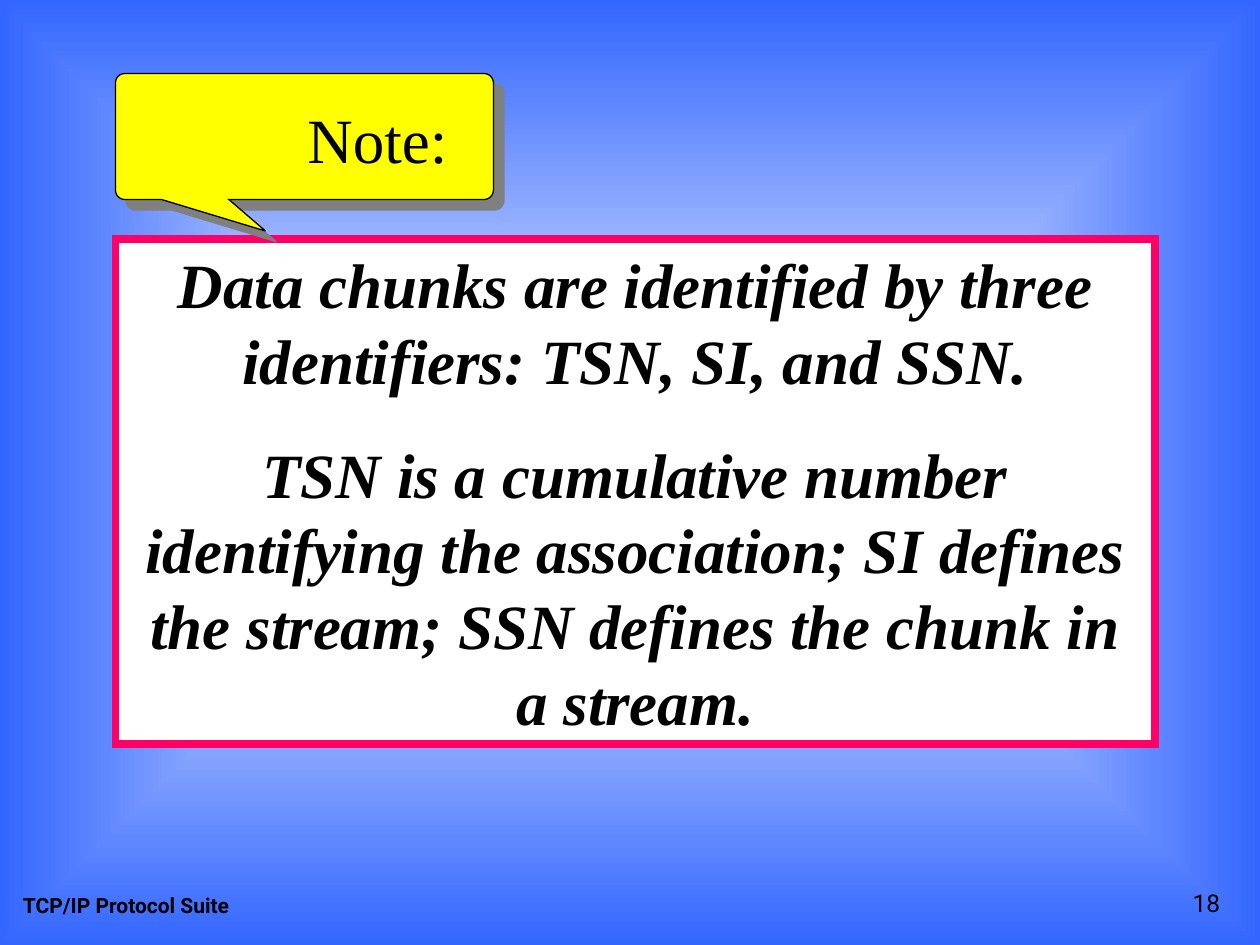
import math
from dataclasses import dataclass

from lxml import etree
from pptx import Presentation
from pptx.dml.color import RGBColor
from pptx.enum.shapes import MSO_SHAPE
from pptx.enum.text import MSO_ANCHOR, MSO_AUTO_SIZE, PP_ALIGN
from pptx.oxml.ns import qn
from pptx.util import Inches, Pt

RECT = MSO_SHAPE.RECTANGLE
TOP, BOTTOM = MSO_ANCHOR.TOP, MSO_ANCHOR.BOTTOM
LEFT, CENTER, RIGHT = PP_ALIGN.LEFT, PP_ALIGN.CENTER, PP_ALIGN.RIGHT
GROW, FIXED = MSO_AUTO_SIZE.SHAPE_TO_FIT_TEXT, MSO_AUTO_SIZE.NONE


@dataclass(frozen=True)
class Theme:
    serif: str = "Times New Roman"
    sans: str = "Roboto"
    ink: str = "000000"
    paper: str = "FFFFFF"
    blue: str = "3366FF"
    pink: str = "FF0066"
    yellow: str = "FFFF00"
    shade: str = "808080"
    body: int = 36
    footer: int = 12
    number: int = 14


def rgb(value):
    return RGBColor.from_string(value)


def write(shape, paragraphs, font, size, color, align=LEFT, anchor=TOP,
          bold=False, italic=False, wrap=True, fit=FIXED, gap=0, after=0):
    tf = shape.text_frame
    tf.word_wrap, tf.auto_size, tf.vertical_anchor = wrap, fit, anchor
    for i, text in enumerate(paragraphs):
        p = tf.add_paragraph() if i else tf.paragraphs[0]
        p.alignment = align
        p.space_before, p.space_after = Pt(gap if i else 0), Pt(after)
        r = p.add_run()
        r.text = text
        r.font.name, r.font.size = font, Pt(size)
        r.font.bold, r.font.italic = bold, italic
        r.font.color.rgb = rgb(color)


class Deck:
    COLS, ROWS = 120, 90

    def __init__(self, theme):
        self.theme = theme
        self.prs = Presentation()
        self.prs.slide_width, self.prs.slide_height = Inches(10), Inches(7.5)
        self.s = self.prs.slides.add_slide(self.prs.slide_layouts[6])

    def at(self, col, row):
        return (round(col * self.prs.slide_width / self.COLS),
                round(row * self.prs.slide_height / self.ROWS))

    def background(self, center, edge):
        fill = self.s.background.fill
        fill.gradient()
        for stop, color in zip(fill.gradient_stops, (center, edge)):
            stop.color.rgb = rgb(color)
        grad = self.s.element.find(".//" + qn("a:gradFill"))
        grad.remove(grad.find(qn("a:lin")))
        focus = etree.SubElement(grad, qn("a:path"), path="rect")
        etree.SubElement(focus, qn("a:fillToRect"),
                         dict.fromkeys("ltrb", "50000"))

    def paint(self, shape, fill, line, width):
        shape.shadow.inherit = False
        shape.fill.solid()
        shape.fill.fore_color.rgb = rgb(fill)
        shape.line.color.rgb = rgb(line)
        shape.line.width = Pt(width)
        ln = shape.element.spPr.find(qn("a:ln"))
        etree.SubElement(ln, qn("a:miter"), lim="800000")
        return shape

    def panel(self, col, row, cols, rows, paragraphs, fill, line, width, **fmt):
        sp = self.s.shapes.add_shape(RECT, *self.at(col, row), *self.at(cols, rows))
        write(self.paint(sp, fill, line, width), paragraphs, **fmt)

    def callout(self, col, row, cols, rows, tail, fill, line, width, radius=0.9):
        right, bottom = col + cols, row + rows
        corners = [(col + radius, row + radius, 180),
                   (right - radius, row + radius, 270),
                   (right - radius, bottom - radius, 0),
                   (col + radius, bottom - radius, 90)]
        arcs = [[(x + radius * math.cos(math.radians(start + turn)),
                  y + radius * math.sin(math.radians(start + turn)))
                 for turn in range(0, 91, 15)] for x, y, start in corners]
        outline = [self.at(*pt) for pt in arcs[0] + arcs[1] + arcs[2] + tail + arcs[3]]
        builder = self.s.shapes.build_freeform(*outline[0], scale=1.0)
        builder.add_line_segments(outline[1:], close=True)
        sp = self.paint(builder.convert_to_shape(), fill, line, width)
        effects = sp.element.spPr.find(qn("a:effectLst"))
        shadow = etree.SubElement(effects, qn("a:outerShdw"), blurRad="0",
                                  dist=str(Pt(8.5)), dir="2700000",
                                  algn="ctr", rotWithShape="0")
        etree.SubElement(shadow, qn("a:srgbClr"), val=self.theme.shade)

    def text(self, col, row, cols, rows, text, **fmt):
        tb = self.s.shapes.add_textbox(*self.at(col, row), *self.at(cols, rows))
        write(tb, [text], color=self.theme.ink, **fmt)


def main():
    t = Theme()
    deck = Deck(t)
    deck.background(t.paper, t.blue)
    deck.panel(11, 22.8, 99, 48.1, [
        "Data chunks are identified by three identifiers: TSN, SI, and SSN.",
        "TSN is a cumulative number identifying the association; SI defines "
        "the stream; SSN defines the chunk in a stream.",
    ], t.paper, t.pink, 4.5, font=t.serif, size=t.body, color=t.ink,
        align=CENTER, bold=True, italic=True, fit=GROW, gap=12, after=10)
    deck.callout(11, 7, 36, 12, [(21.8, 19), (25.3, 22), (15.4, 19)],
                 t.yellow, t.ink, 0.75)
    deck.text(28.1, 9, 15.7, 8.4, "Note:", font=t.serif, size=t.body,
              wrap=False, fit=GROW)
    deck.text(1, 82, 38, 6, "TCP/IP Protocol Suite", font=t.sans,
              size=t.footer, bold=True, anchor=BOTTOM)
    deck.text(92.4, 82, 25, 6, "18", font=t.sans, size=t.number,
              align=RIGHT, anchor=BOTTOM)
    deck.prs.save("out.pptx")


if __name__ == "__main__":
    main()
